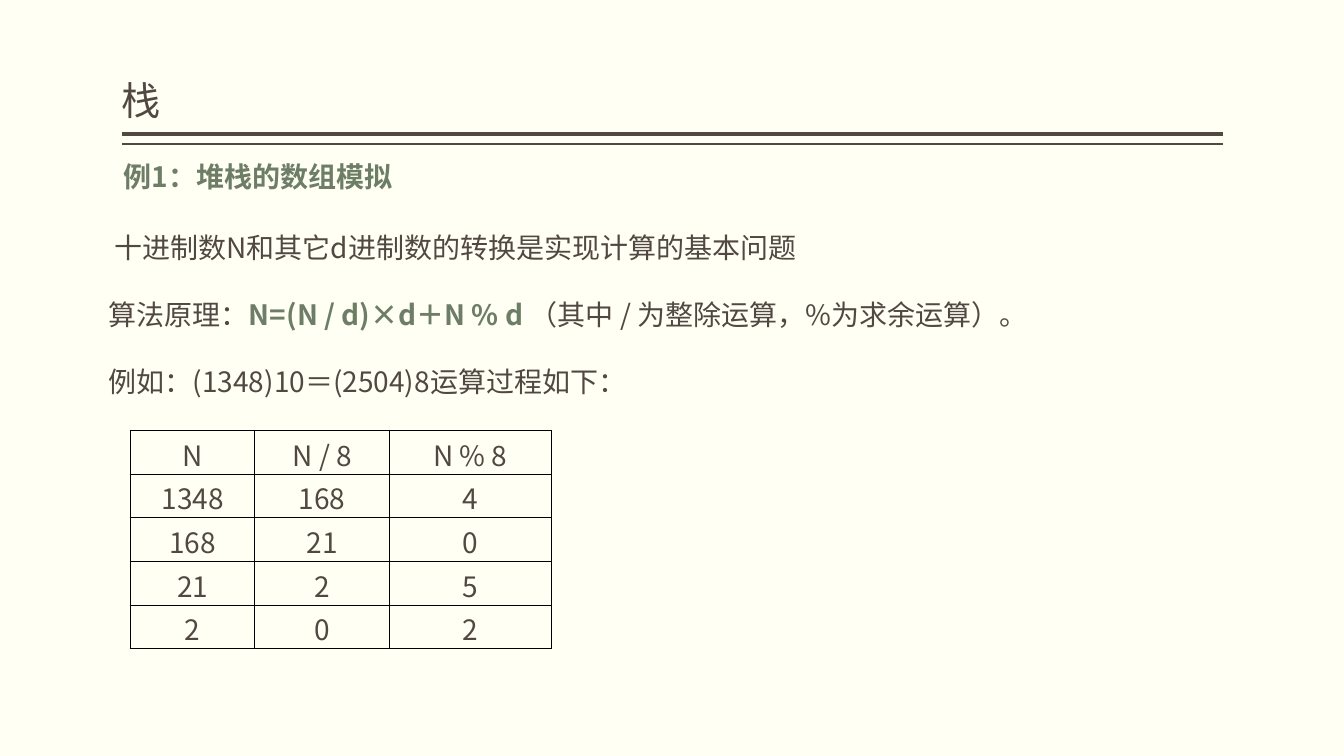
from lxml.etree import SubElement
from pptx import Presentation
from pptx.dml.color import RGBColor
from pptx.enum.text import MSO_ANCHOR, PP_ALIGN
from pptx.oxml.ns import qn
from pptx.util import Cm, Pt

COLORS = {"bg": "FFFFF3", "text": "514843", "accent": "6D7D66", "border": "000000"}
FONT = "Noto Sans CJK SC"


def rgb(name):
    return RGBColor.from_string(COLORS[name])


def format_run(r, size=20, color="text", bold=False):
    r.font.size, r.font.bold, r.font.name = Pt(size), bold, FONT
    r.font.color.rgb = rgb(color)
    # East Asian glyphs use the same typeface
    SubElement(r._r.get_or_add_rPr(), qn("a:ea")).set("typeface", FONT)


def add_title(slide, text):
    sp = slide.shapes.title
    sp.left, sp.top, sp.width, sp.height = Cm(3.07), Cm(0.2), Cm(27.74), Cm(3.05)
    tf = sp.text_frame
    tf.text = text
    tf.vertical_anchor = MSO_ANCHOR.BOTTOM
    tf.margin_left = tf.margin_right = 0
    p = tf.paragraphs[0]
    p.alignment, p.line_spacing = PP_ALIGN.LEFT, 0.9
    format_run(p.runs[0], size=28)


def add_rule(slide, y, width):
    line = slide.shapes.add_connector(1, Cm(3.07), Cm(y), Cm(30.81), Cm(y))
    line.line.color.rgb = rgb("text")
    line.line.width = Pt(width)
    SubElement(line._element.spPr, qn("a:effectLst"))


def add_text(slide, left, top, width, height, paragraphs, spacing=1.0):
    """Each paragraph is a list of (text, color, bold) runs."""
    sp = slide.shapes.add_textbox(Cm(left), Cm(top), Cm(width), Cm(height))
    tf = sp.text_frame
    tf.word_wrap = True
    for i, runs in enumerate(paragraphs):
        p = tf.add_paragraph() if i else tf.paragraphs[0]
        p.line_spacing = spacing
        for text, color, bold in runs:
            r = p.add_run()
            r.text = text
            format_run(r, color=color, bold=bold)
    return tf


def set_borders(cell):
    tcPr = cell._tc.get_or_add_tcPr()
    for i, side in enumerate(("lnL", "lnR", "lnT", "lnB")):
        ln = tcPr.makeelement(qn(f"a:{side}"), {"w": str(Pt(1))})
        fill = SubElement(ln, qn("a:solidFill"))
        SubElement(fill, qn("a:srgbClr")).set("val", COLORS["border"])
        tcPr.insert(i, ln)


def add_division_table(slide, rows, widths, row_height):
    frame = slide.shapes.add_table(len(rows), len(widths), Cm(3.29), Cm(10.85),
                                   Cm(sum(widths)), Cm(row_height * len(rows)))
    table = frame.table
    for column, width in zip(table.columns, widths):
        column.width = Cm(width)
    for row, values in zip(table.rows, rows):
        row.height = Cm(row_height)
        for cell, value in zip(row.cells, values):
            cell.text = str(value)
            cell.fill.background()
            cell.margin_top, cell.margin_bottom = Cm(0.08), 0
            cell.vertical_anchor = MSO_ANCHOR.BOTTOM
            p = cell.text_frame.paragraphs[0]
            p.alignment = PP_ALIGN.CENTER
            format_run(p.runs[0])
            set_borders(cell)


def division_steps(n, base):
    while n:
        yield n, n // base, n % base
        n //= base


def main():
    prs = Presentation()
    prs.slide_width, prs.slide_height = Cm(33.87), Cm(19.05)
    slide = prs.slides.add_slide(prs.slide_layouts[5])
    slide.background.fill.solid()
    slide.background.fill.fore_color.rgb = rgb("bg")

    # Title and double rule
    add_title(slide, "栈")
    add_rule(slide, 3.38, 3)
    add_rule(slide, 3.63, 1)

    # Example heading and explanation
    add_text(slide, 2.87, 3.89, 20.35, 1.12, [[("例1：堆栈的数组模拟", "accent", True)]])
    tf = add_text(slide, 2.49, 4.83, 25.96, 6.15, [
        [("十进制数N和其它d进制数的转换是实现计算的基本问题", "text", False)],
        [("算法原理：", "text", False),
         ("N=(N / d)×d＋N % d ", "accent", True),
         ("（其中 / 为整除运算，%为求余运算）。", "text", False)],
        [("例如：(1348)10＝(2504)8运算过程如下：", "text", False)],
    ], spacing=2.0)
    tf.paragraphs[0]._p.get_or_add_pPr().set("indent", str(Cm(0.14)))

    # Repeated division by 8
    rows = [("N", "N / 8", "N % 8"), *division_steps(1348, 8)]
    add_division_table(slide, rows, widths=(3.13, 3.4, 4.07), row_height=1.1)

    prs.save("out.pptx")


if __name__ == "__main__":
    main()
